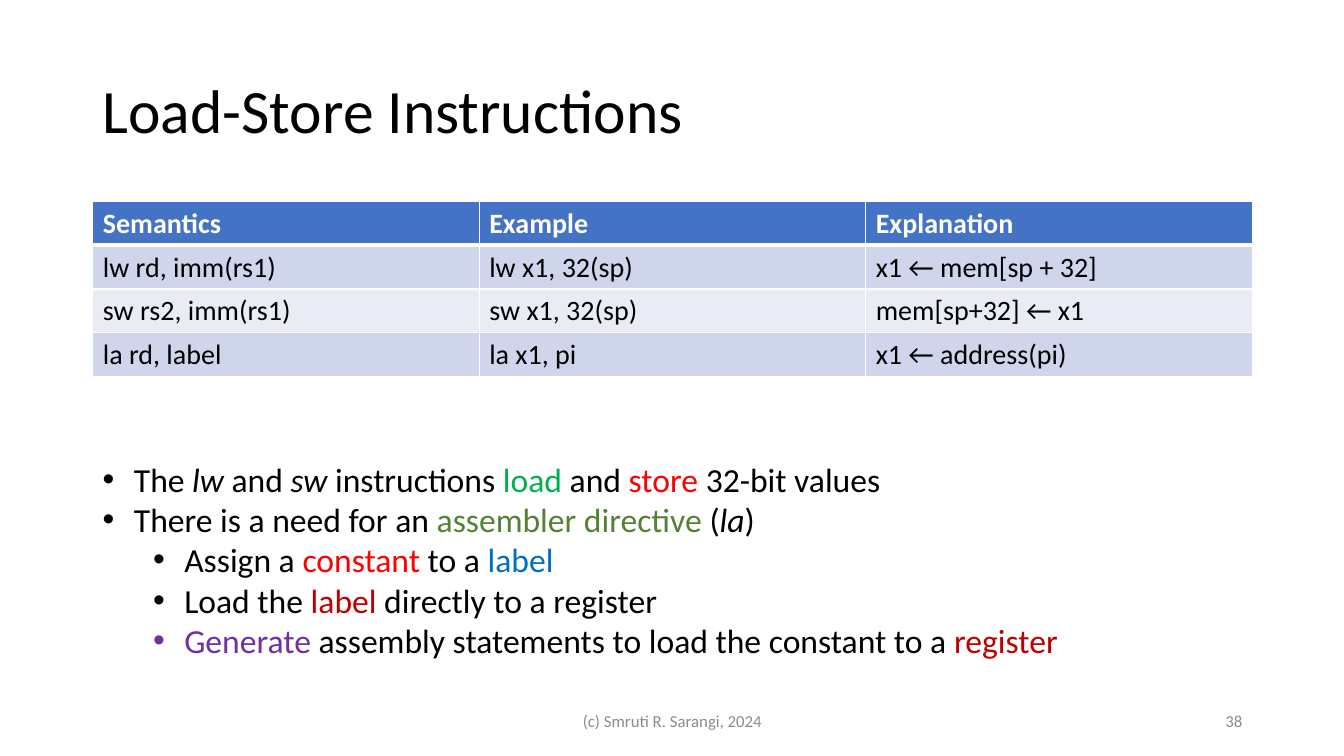
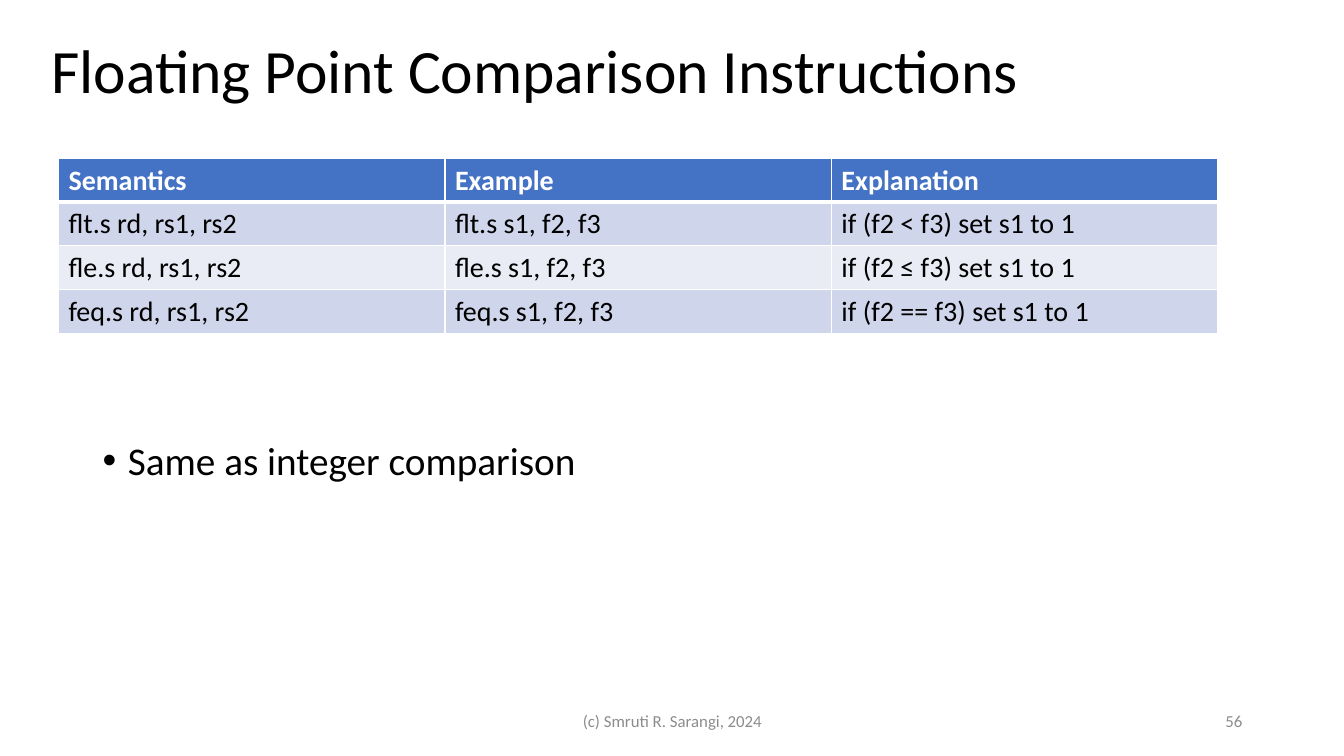
from lxml.etree import SubElement
from pptx import Presentation
from pptx.dml.color import RGBColor
from pptx.enum.text import MSO_ANCHOR as Anchor, PP_ALIGN as Align
from pptx.oxml.ns import qn
from pptx.util import Inches, Pt

WIDTH, HEIGHT = 13.33, 7.5
MARGIN, CONTENT_WIDTH = 0.92, 11.5
TITLE_HEIGHT, ROW_HEIGHT = 1.45, 0.43
FOOTER_TOP, FOOTER_HEIGHT = 6.95, 0.4
FONT = "Calibri"

BLACK = RGBColor(0x00, 0x00, 0x00)
WHITE = RGBColor(0xFF, 0xFF, 0xFF)
GREY = RGBColor(0x8C, 0x8C, 0x8C)
HEADER_BLUE = RGBColor(0x44, 0x72, 0xC4)
BANDS = [RGBColor(0xCF, 0xD5, 0xEA), RGBColor(0xE9, 0xEB, 0xF5)]
GREEN = RGBColor(0x00, 0xB0, 0x50)
OLIVE = RGBColor(0x54, 0x82, 0x35)
RED = RGBColor(0xFF, 0x00, 0x00)
DARK_RED = RGBColor(0xC0, 0x00, 0x00)
BLUE = RGBColor(0x00, 0x70, 0xC0)
PURPLE = RGBColor(0x70, 0x30, 0xA0)
ITALIC = "italic"

COPYRIGHT = "(c) Smruti R. Sarangi, 2024"
HEADINGS = ("Semantics", "Example", "Explanation")

SLIDES = [
    {
        "title": "Load-Store Instructions",
        "title_at": (MARGIN, 0.4),
        "table_at": (MARGIN, 2),
        "rows": [
            ("lw rd, imm(rs1)", "lw x1, 32(sp)", "x1 ← mem[sp + 32]"),
            ("sw rs2, imm(rs1)", "sw x1, 32(sp)", "mem[sp+32] ← x1"),
            ("la rd, label", "la x1, pi", "x1 ← address(pi)"),
        ],
        "bullets_at": (MARGIN, 4.5, 9.76, 2.12),
        "bullet_style": {"size": 24, "hang": 0.31, "spacing": 1},
        "bullets": [
            (0, ["The ", ("lw ", ITALIC), "and ", ("sw", ITALIC), " instructions ",
                 ("load", GREEN), " and ", ("store", RED), " 32-bit values"]),
            (0, ["There is a need for an ", ("assembler directive ", OLIVE),
                 "(", ("la", ITALIC), ")"]),
            (1, ["Assign a ", ("constant", RED), " to a ", ("label", BLUE)]),
            (1, ["Load the ", ("label", DARK_RED), " directly to a register"]),
            (1, [("Generate", PURPLE), " assembly statements to load the constant to a ",
                 ("register", DARK_RED)]),
        ],
        "number": "38",
    },
    {
        "title": "Floating Point Comparison Instructions",
        "title_at": (0.41, 0),
        "table_at": (0.58, 1.57),
        "rows": [
            ("flt.s rd, rs1, rs2", "flt.s s1, f2, f3", "if (f2 < f3) set s1 to 1"),
            ("fle.s rd, rs1, rs2", "fle.s s1, f2, f3", "if (f2 ≤ f3) set s1 to 1"),
            ("feq.s rd, rs1, rs2", "feq.s s1, f2, f3", "if (f2 == f3) set s1 to 1"),
        ],
        "bullets_at": (MARGIN, 4.33, CONTENT_WIDTH, 0.6),
        "bullet_style": {"size": 28, "hang": 0.25, "spacing": 0.9},
        "bullets": [(0, ["Same as integer comparison"])],
        "number": "56",
    },
]


def add_run(paragraph, text, size, color=BLACK, bold=False, italic=False):
    run = paragraph.add_run()
    run.text = text
    font = run.font
    font.name, font.size = FONT, Pt(size)
    font.bold, font.italic = bold, italic
    font.color.rgb = color


def add_frame(slide, box, anchor=Anchor.TOP):
    frame = slide.shapes.add_textbox(*map(Inches, box)).text_frame
    frame.word_wrap = True
    frame.vertical_anchor = anchor
    return frame


def add_line(slide, box, text, size, color=BLACK, align=Align.LEFT, spacing=1):
    paragraph = add_frame(slide, box, Anchor.MIDDLE).paragraphs[0]
    paragraph.alignment = align
    paragraph.line_spacing = spacing
    add_run(paragraph, text, size, color)


def set_borders(cell, top, bottom):
    properties = cell._tc.get_or_add_tcPr()
    for side, width in (("L", 1), ("R", 1), ("T", top), ("B", bottom)):
        line = SubElement(properties, qn(f"a:ln{side}"), w=str(Pt(width)))
        fill = SubElement(line, qn("a:solidFill"))
        SubElement(fill, qn("a:srgbClr"), val=str(WHITE))


def add_instruction_table(slide, position, rows):
    grid = [HEADINGS, *rows]
    box = (*position, CONTENT_WIDTH, ROW_HEIGHT * len(grid))
    table = slide.shapes.add_table(len(grid), len(HEADINGS), *map(Inches, box)).table
    for row_index, texts in enumerate(grid):
        header = row_index == 0
        for column_index, text in enumerate(texts):
            cell = table.cell(row_index, column_index)
            set_borders(cell, 3 if row_index == 1 else 1, 3 if header else 1)
            cell.fill.solid()
            cell.fill.fore_color.rgb = HEADER_BLUE if header else BANDS[(row_index - 1) % 2]
            add_run(cell.text_frame.paragraphs[0], text, 20,
                    WHITE if header else BLACK, bold=header)


def add_bullets(slide, box, bullets, size, hang, spacing):
    frame = add_frame(slide, box)
    for index, (level, runs) in enumerate(bullets):
        paragraph = frame.add_paragraph() if index else frame.paragraphs[0]
        paragraph.level = level
        paragraph.line_spacing = spacing
        properties = paragraph._p.get_or_add_pPr()
        properties.set("marL", str(Inches(hang + level * 0.5)))
        properties.set("indent", str(Inches(-hang)))
        SubElement(properties, qn("a:buFont"), typeface="Arial")
        SubElement(properties, qn("a:buChar"), char="•")
        for run in runs:
            text, style = (run, BLACK) if isinstance(run, str) else run
            italic = style == ITALIC
            add_run(paragraph, text, size, BLACK if italic else style, italic=italic)


def add_footer(slide, number):
    add_line(slide, (4.42, FOOTER_TOP, 4.5, FOOTER_HEIGHT), COPYRIGHT, 12, GREY, Align.CENTER)
    add_line(slide, (9.42, FOOTER_TOP, 3, FOOTER_HEIGHT), number, 12, GREY, Align.RIGHT)


def main():
    presentation = Presentation()
    presentation.slide_width = Inches(WIDTH)
    presentation.slide_height = Inches(HEIGHT)
    for content in SLIDES:
        slide = presentation.slides.add_slide(presentation.slide_layouts[6])
        title_box = (*content["title_at"], CONTENT_WIDTH, TITLE_HEIGHT)
        add_line(slide, title_box, content["title"], 44, spacing=0.9)
        add_instruction_table(slide, content["table_at"], content["rows"])
        add_bullets(slide, content["bullets_at"], content["bullets"], **content["bullet_style"])
        add_footer(slide, content["number"])
    presentation.save("out.pptx")


if __name__ == "__main__":
    main()
